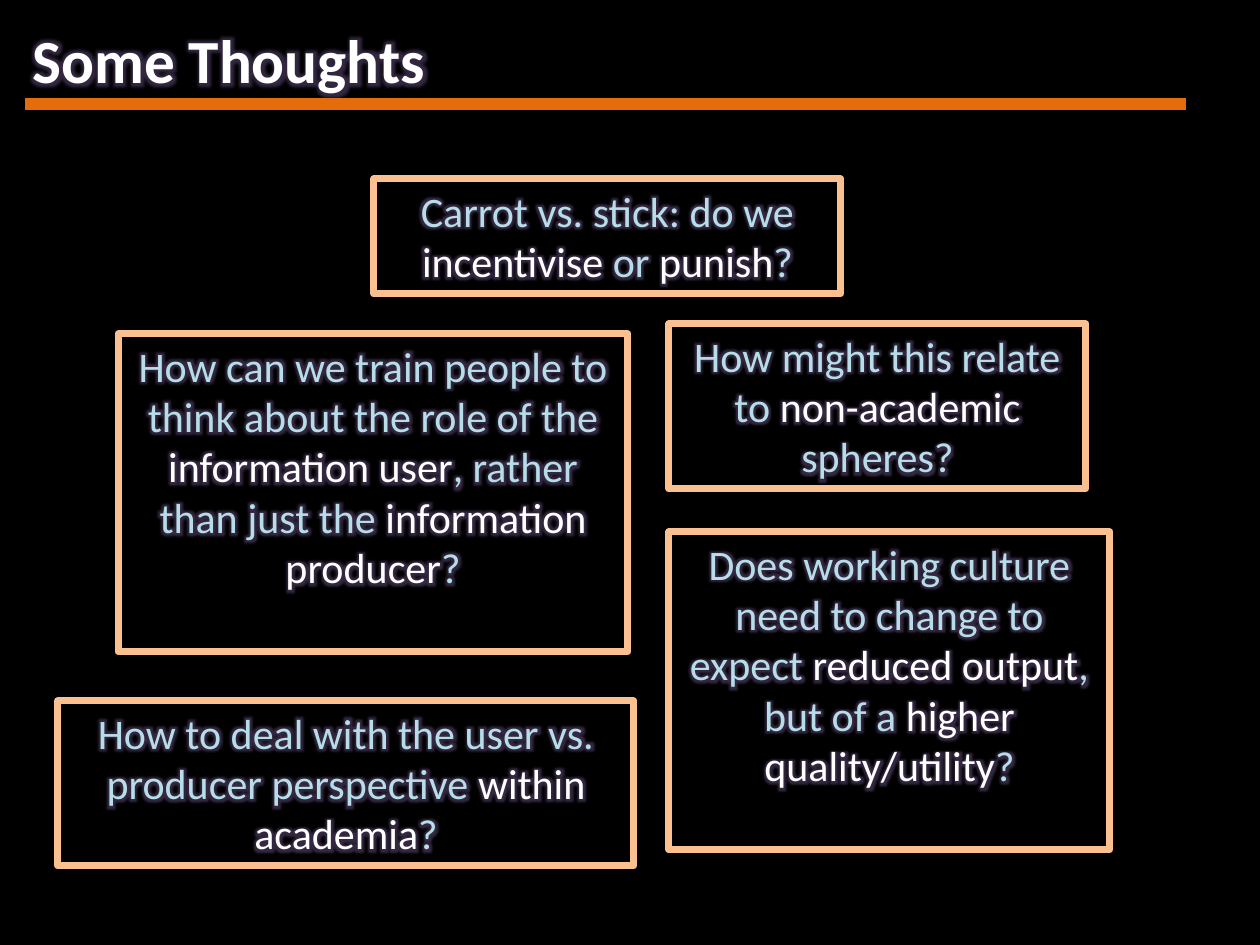
from lxml import etree
from pptx import Presentation
from pptx.dml.color import RGBColor
from pptx.enum.shapes import MSO_CONNECTOR, MSO_SHAPE
from pptx.enum.text import MSO_ANCHOR, MSO_AUTO_SIZE, PP_ALIGN
from pptx.oxml.ns import qn
from pptx.util import Emu, Pt

STRAIGHT = MSO_CONNECTOR.STRAIGHT
RECT = MSO_SHAPE.RECTANGLE
TOP = MSO_ANCHOR.TOP
GROW = MSO_AUTO_SIZE.SHAPE_TO_FIT_TEXT
CENTER = PP_ALIGN.CENTER

PX_PER_INCH = 126
FONT = "Calibri"
BLACK, WHITE, PALE_BLUE = "000000", "FFFFFF", "B7DEE8"
ORANGE, PEACH, PURPLE = "E46C0A", "FAC090", "8064A2"

# Left, top, width, height in px; asterisks enclose the highlighted words.
QUESTIONS = [
    (118, 334, 510, 318, "How can we train people to think about the role of the "
     "*information user*, rather than just the *information producer*?"),
    (374, 179, 467, 115, "Carrot vs. stick: do we *incentivise* or *punish*?"),
    (58, 701, 576, 165, "How to deal with the user vs. producer perspective "
     "*within academia*?"),
    (669, 532, 441, 318, "Does working culture need to change to expect "
     "*reduced output*, but of a *higher quality/utility*?"),
    (669, 324, 417, 165, "How might this relate to *non-academic *spheres?"),
]


def px(n):
    return Emu(round(n * 914400 / PX_PER_INCH))


def rgb(color):
    return RGBColor.from_string(color)


def add_glow(r):
    """Put a soft purple glow around the letters of a run."""
    effects = etree.Element(qn("a:effectLst"))
    glow = etree.SubElement(effects, qn("a:glow"), rad="101600")
    color = etree.SubElement(glow, qn("a:srgbClr"), val=PURPLE)
    etree.SubElement(color, qn("a:alpha"), val="40000")
    r.font.fill._xPr.find(qn("a:solidFill")).addnext(effects)


def format_run(r, size, color, bold=False):
    r.font.name = FONT
    r.font.size = Pt(size)
    r.font.bold = bold
    r.font.color.rgb = rgb(color)
    add_glow(r)


def add_heading(s, text):
    group = s.shapes.add_group_shape()
    rule = group.shapes.add_connector(STRAIGHT, px(25), px(104), px(1186), px(104))
    rule.line.color.rgb = rgb(ORANGE)
    rule.line.width = Pt(7)
    etree.SubElement(rule._element.spPr, qn("a:effectLst"))

    tf = group.shapes.add_textbox(px(20), px(16), px(1081), px(87)).text_frame
    tf.word_wrap = True
    tf.auto_size = GROW
    tf.text = text
    format_run(tf.paragraphs[0].runs[0], 35, WHITE, bold=True)


def add_question(s, left, top, width, height, text):
    sp = s.shapes.add_shape(RECT, px(left), px(top), px(width), px(height))
    sp.shadow.inherit = False
    sp.fill.background()
    sp.line.color.rgb = rgb(PEACH)
    sp.line.width = Pt(4)

    tf = sp.text_frame
    tf.word_wrap = True
    tf.auto_size = GROW
    tf.vertical_anchor = TOP
    p = tf.paragraphs[0]
    p.alignment = CENTER
    for i, part in enumerate(text.split("*")):
        r = p.add_run()
        r.text = part
        format_run(r, 24, WHITE if i % 2 else PALE_BLUE)


def main():
    prs = Presentation()
    prs.slide_width, prs.slide_height = px(1260), px(945)
    s = prs.slides.add_slide(prs.slide_layouts[6])
    s.background.fill.solid()
    s.background.fill.fore_color.rgb = rgb(BLACK)

    add_heading(s, "Some Thoughts")
    for question in QUESTIONS:
        add_question(s, *question)
    prs.save("out.pptx")


if __name__ == "__main__":
    main()
